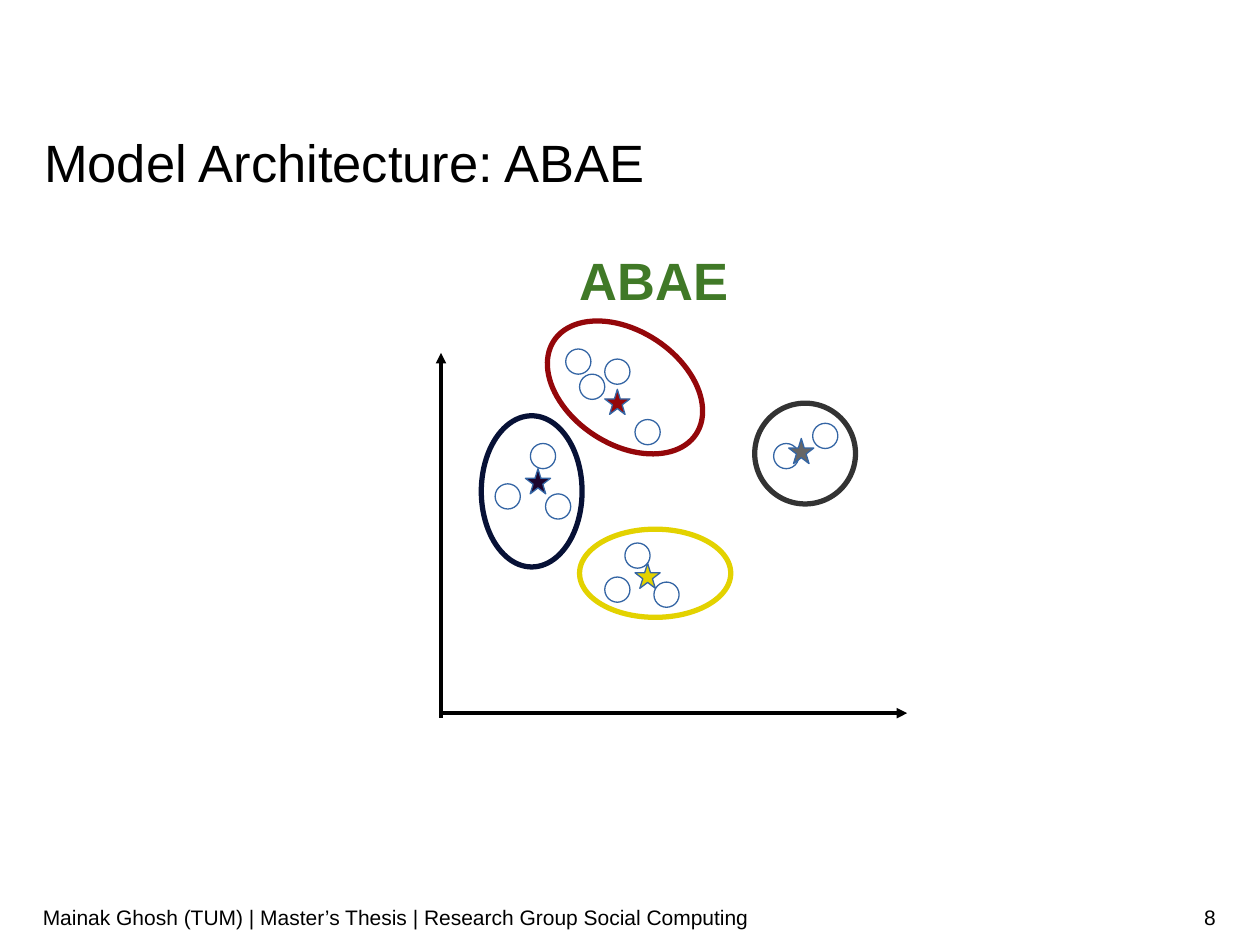
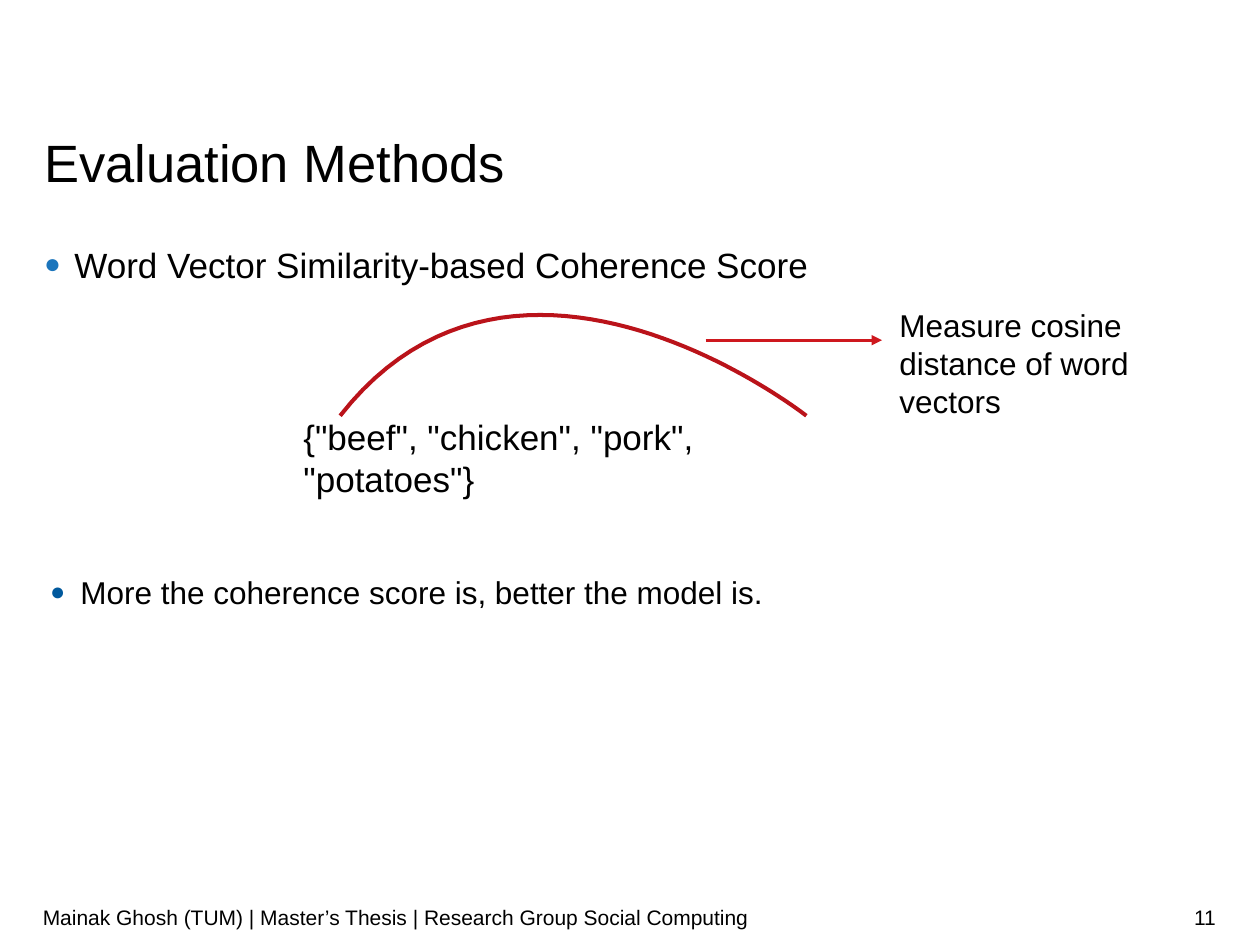
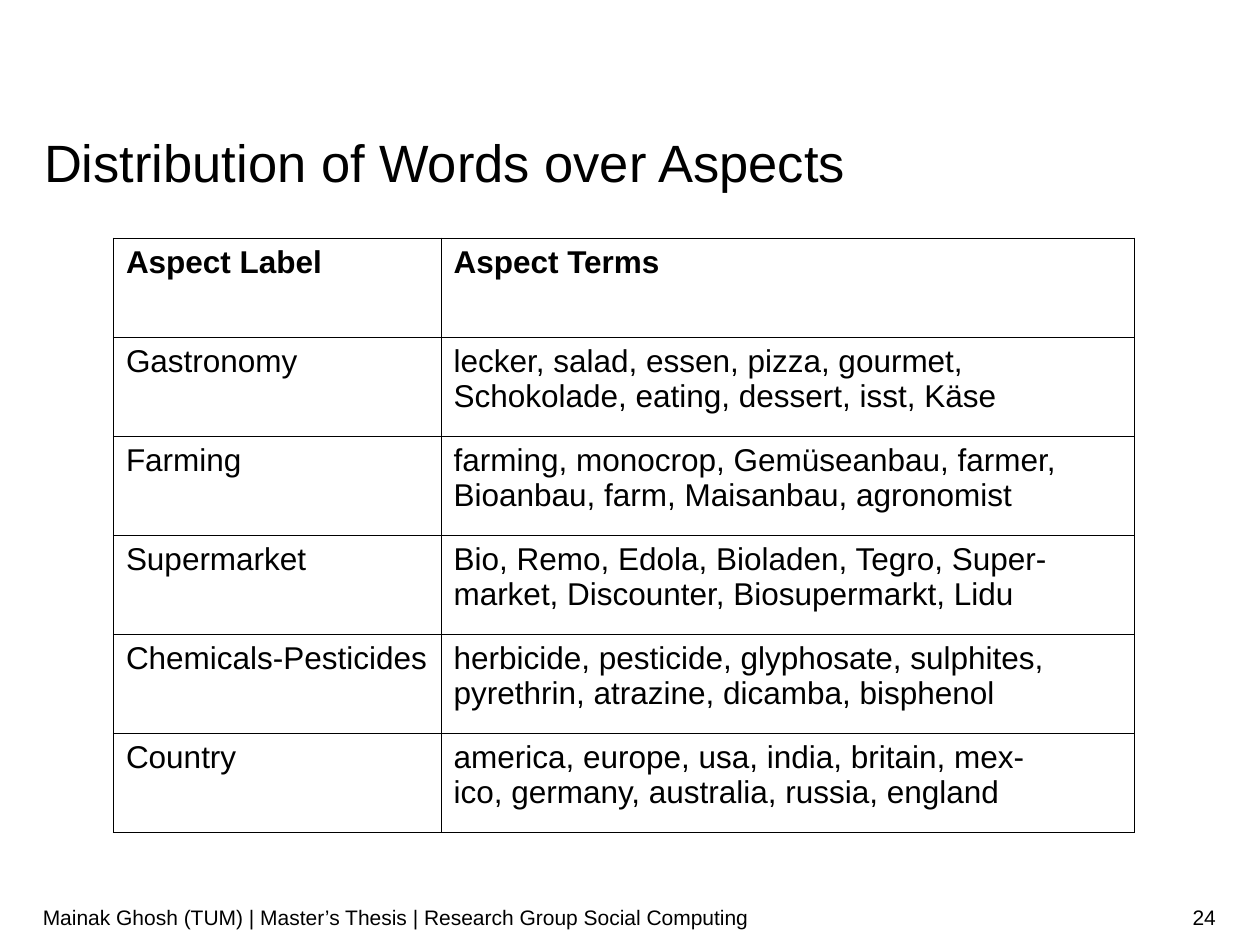
from lxml import etree
from pptx import Presentation
from pptx.dml.color import RGBColor
from pptx.enum import shapes, text
from pptx.oxml import ns
from pptx.util import Inches, Pt

FONT = "Arial"
HUES = {
    "ink": "000000", "blue": "3465A4", "green": "407927",
    "navy": "071136", "plum": "1C052E", "gold": "E3D200",
    "slate": "333333", "gray": "666666", "wine": "94070A",
    "curve": "BA131A", "arrow": "CE181E",
    "sky": "1B75BC", "deep": "00599D",
}
FOOT = "Mainak Ghosh (TUM) | Master’s Thesis | Research Group Social Computing"
PAD = (0.1, 0.05)
DOT = 0.2

DOTS = [
    (4.6, 2.97), (4.33, 3.92), (4.96, 4.31), (5.19, 4.62),
    (4.21, 3.52), (4.8, 2.85), (6.45, 3.36), (4.8, 4.58),
    (6.14, 3.52), (3.93, 3.84), (4.49, 2.77), (5.04, 3.33),
]
STARS = [
    (4.17, 3.72, "plum"), (5.04, 4.47, "gold"),
    (6.26, 3.48, "gray"), (4.8, 3.09, "wine"),
]
RINGS = [
    ((3.82, 3.3, 0.8, 1.2), "navy", 0),
    ((5.99, 3.2, 0.8, 0.8), "slate", 0),
    ((4.6, 4.2, 1.2, 0.7), "gold", 0),
    ((4.51, 2.4, 0.9, 1.35), "wine", 123.2),
]
ROWS = [
    ("Aspect Label", "Aspect Terms"),
    ("Gastronomy", "lecker, salad, essen, pizza, gourmet,\n"
                   "Schokolade, eating, dessert, isst, Käse"),
    ("Farming", "farming, monocrop, Gemüseanbau, farmer,\n"
                "Bioanbau, farm, Maisanbau, agronomist"),
    ("Supermarket", "Bio, Remo, Edola, Bioladen, Tegro, Super-\n"
                    "market, Discounter, Biosupermarkt, Lidu"),
    ("Chemicals-Pesticides", "herbicide, pesticide, glyphosate, sulphites,\n"
                             "pyrethrin, atrazine, dicamba, bisphenol"),
    ("Country", "america, europe, usa, india, britain, mex-\n"
                "ico, germany, australia, russia, england"),
]


def hue(name):
    return RGBColor.from_string(HUES[name])


def node(root, tag, **attrs):
    return etree.SubElement(root, ns.qn("a:" + tag), attrs)


def write(frame, words, size, tint="ink", bold=False):
    frame.text = words
    for para in frame.paragraphs:
        for run in para.runs:
            font = run.font
            font.name, font.size, font.bold = FONT, Pt(size), bold
            font.color.rgb = hue(tint)


def label(slide, box, words, size, tint="ink", bold=False, pad=PAD):
    frame = slide.shapes.add_textbox(*map(Inches, box)).text_frame
    frame.word_wrap = True
    frame.margin_left = frame.margin_right = Inches(pad[0])
    frame.margin_top = frame.margin_bottom = Inches(pad[1])
    write(frame, words, size, tint, bold)
    return frame


def bullet(frame, tint):
    props = frame.paragraphs[0]._p.get_or_add_pPr()
    props.set("marL", str(Inches(0.24)))
    props.set("indent", str(-Inches(0.24)))
    node(node(props, "buClr"), "srgbClr", val=HUES[tint])
    node(props, "buSzPct", val="80000")
    node(props, "buFont", typeface=FONT)
    node(props, "buChar", char="●")


def mark(slide, kind, box, line, width, fill=None, turn=0):
    form = slide.shapes.add_shape(kind, *map(Inches, box))
    form.shadow.inherit = False
    form.rotation = turn
    form.line.color.rgb = hue(line)
    form.line.width = Pt(width)
    if fill:
        form.fill.solid()
        form.fill.fore_color.rgb = hue(fill)
    else:
        form.fill.background()


def arrow(slide, start, stop, tint, width, tip):
    ends = map(Inches, start + stop)
    link = slide.shapes.add_connector(shapes.MSO_CONNECTOR.STRAIGHT, *ends)
    link.line.color.rgb = hue(tint)
    link.line.width = Pt(width)
    node(link.line._get_or_add_ln(), tip, type="triangle")
    node(link._element.spPr, "effectLst")


def curve(slide, knots, tint, width, steps=48):
    def spot(t):
        s = 1 - t
        parts = (s ** 3, 3 * s * s * t, 3 * s * t * t, t ** 3)
        return tuple(Inches(sum(p * k[axis] for p, k in zip(parts, knots)))
                     for axis in (0, 1))

    path = [spot(i / steps) for i in range(steps + 1)]
    pen = slide.shapes.build_freeform(*path[0])
    pen.add_line_segments(path[1:], close=False)
    form = pen.convert_to_shape()
    form.shadow.inherit = False
    form.fill.background()
    form.line.color.rgb = hue(tint)
    form.line.width = Pt(width)


def edge(cell, width):
    props = cell._tc.get_or_add_tcPr()
    for side in ("lnL", "lnR", "lnT", "lnB"):
        line = node(props, side, w=str(Pt(width)))
        node(node(line, "solidFill"), "srgbClr", val=HUES["ink"])


def grid(slide, box, rows, cols):
    table = slide.shapes.add_table(
        len(rows), len(cols), *map(Inches, box)).table
    table.first_row = table.horz_banding = False
    for col, width in zip(table.columns, cols):
        col.width = Inches(width)
    for r, row in enumerate(rows):
        for c, words in enumerate(row):
            cell = table.cell(r, c)
            write(cell.text_frame, words, 18, bold=r == 0)
            edge(cell, 0.57)
            cell.fill.background()


def page(deck, title, number):
    slide = deck.slides.add_slide(deck.slide_layouts[6])
    head = label(slide, (0.35, 1.09, 9.31, 0.45), title, 30, pad=(0, 0))
    head.paragraphs[0].line_spacing = Pt(32)
    foot = label(slide, (0.34, 7.08, 7.07, 0.4), FOOT, 12, pad=(0, 0.05))
    num = label(slide, (7.41, 7.08, 2.24, 0.4), number, 12, pad=(0, 0.05))
    num.paragraphs[0].alignment = text.PP_ALIGN.RIGHT
    for frame in (foot, num):
        frame.vertical_anchor = text.MSO_ANCHOR.MIDDLE
    return slide


def model(deck):
    slide = page(deck, "Model Architecture: ABAE", "8")
    kinds = shapes.MSO_SHAPE
    arrow(slide, (3.5, 2.8), (3.5, 5.7), "ink", 0, "headEnd")
    arrow(slide, (7.2, 5.66), (3.5, 5.66), "ink", 0, "headEnd")
    for x, y in DOTS:
        mark(slide, kinds.OVAL, (x, y, DOT, DOT), "blue", 0)
    label(slide, (4.5, 1.92, 2.2, 0.56), "ABAE", 30, "green", True)
    for x, y, fill in STARS:
        mark(slide, kinds.STAR_5_POINT, (x, y, DOT, DOT), "blue", 0, fill)
    for box, tint, turn in RINGS:
        mark(slide, kinds.OVAL, box, tint, 3, turn=turn)


def score(deck):
    slide = page(deck, "Evaluation Methods", "11")
    top = label(slide, (0.35, 1.93, 9.31, 0.57),
                "Word Vector Similarity-based Coherence Score", 20, pad=(0, 0))
    bullet(top, "sky")
    label(slide, (2.31, 3.25, 4.73, 0.72),
          '{"beef", "chicken", "pork", "potatoes"}', 20)
    curve(slide, [(2.7, 3.3), (4.11, 1.5), (6.4, 3.3), (6.4, 3.3)],
          "curve", 2.3)
    arrow(slide, (5.6, 2.7), (7, 2.7), "arrow", 1.5, "tailEnd")
    label(slide, (7.04, 2.38, 2.1, 0.94),
          "Measure cosine distance of word vectors", 18)
    low = label(slide, (0.3, 4.5, 7.8, 0.38),
                "More the coherence score is, better the model is.", 18)
    bullet(low, "deep")


def words(deck):
    slide = page(deck, "Distribution of Words over Aspects", "24")
    grid(slide, (0.9, 1.89, 8.1, 4.72), ROWS, (2.6, 5.5))


def main():
    deck = Presentation()
    deck.slide_width, deck.slide_height = Inches(10), Inches(7.5)
    model(deck)
    score(deck)
    words(deck)
    deck.save("out.pptx")


if __name__ == "__main__":
    main()
